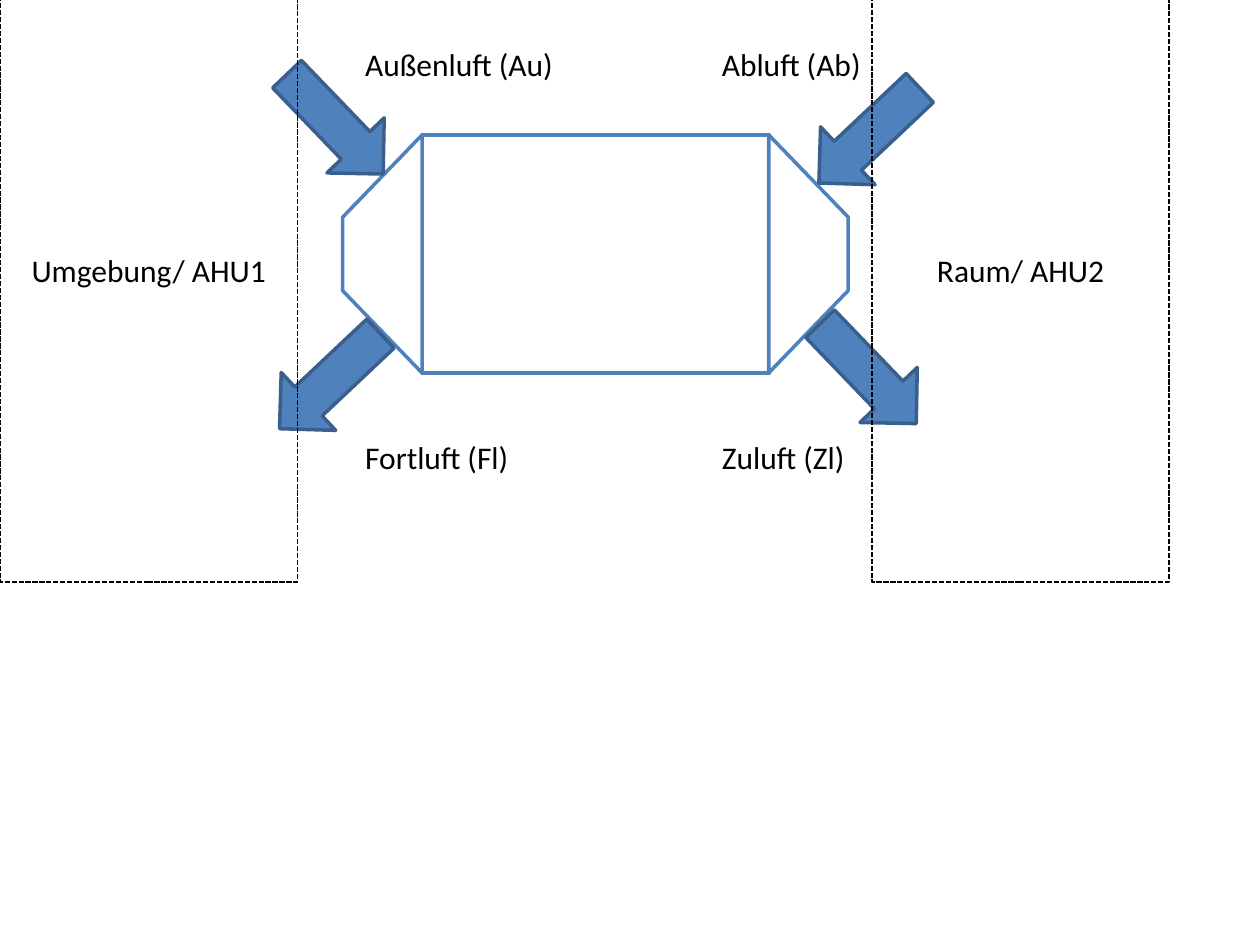
from pptx import Presentation
from pptx.dml.color import RGBColor
from pptx.enum.dml import MSO_LINE
from pptx.enum.shapes import MSO_SHAPE
from pptx.enum.text import MSO_ANCHOR, MSO_AUTO_SIZE, PP_ALIGN
from pptx.util import Pt

BLUE = RGBColor(0x4F, 0x81, 0xBD)
DARK_BLUE = RGBColor(0x3A, 0x5F, 0x8C)
WHITE = RGBColor(0xFF, 0xFF, 0xFF)
BLACK = RGBColor(0, 0, 0)
LABEL_FONT = {"name": "Calibri", "size": Pt(18)}

deck = Presentation()
deck.slide_width, deck.slide_height = Pt(720), Pt(540)
page = deck.slides.add_slide(deck.slide_layouts[6])
diagram = page.shapes.add_group_shape()


def draw_shape(kind, left, top, width, height, fill, line, weight=2, rotation=0):
    shape = diagram.shapes.add_shape(kind, Pt(left), Pt(top), Pt(width), Pt(height))
    shape.shadow.inherit = False
    shape.rotation = rotation
    if fill is None:
        shape.fill.background()
    else:
        shape.fill.solid()
        shape.fill.fore_color.rgb = fill
    shape.line.color.rgb = line
    shape.line.width = Pt(weight)
    return shape


def write_label(box, text, align):
    para = box.text_frame.paragraphs[0]
    para.alignment = align
    span = para.add_run()
    span.text = text
    for name, value in LABEL_FONT.items():
        setattr(span.font, name, value)
    span.font.color.rgb = BLACK


# Air handling unit: body with a tapered end on each side
draw_shape(MSO_SHAPE.RECTANGLE, 241.2, 77.2, 198.6, 136, WHITE, BLUE)
for left, rotation in ((394, 90), (150.5, 270)):
    taper = draw_shape(MSO_SHAPE.TRAPEZOID, left, 122.4, 136, 45.4, WHITE, BLUE,
                       rotation=rotation)
    taper.adjustments[0] = 1.036

# Air flow arrows
for left, top, rotation in (
    (457.2, 54.7, 316.7),
    (149, 195.1, 316.7),
    (151.9, 48.2, 226.1),
    (456.5, 190.8, 226.1),
):
    draw_shape(MSO_SHAPE.LEFT_ARROW, left, top, 79.2, 45.4, BLUE, DARK_BLUE,
               rotation=rotation)

# Air flow labels
for text, left, top in (
    ("Abluft (Ab)", 405.4, 22.3),
    ("Zuluft (Zl)", 405.4, 247),
    ("Außenluft (Au)", 201.6, 22.3),
    ("Fortluft (Fl)", 201.6, 247),
):
    box = diagram.shapes.add_textbox(Pt(left), Pt(top), Pt(153.4), Pt(29))
    box.text_frame.word_wrap = True
    box.text_frame.auto_size = MSO_AUTO_SIZE.SHAPE_TO_FIT_TEXT
    write_label(box, text, PP_ALIGN.LEFT)

# Dashed zones on either side
for text, left in (("Raum/ AHU2", 498.2), ("Umgebung/ AHU1", 0)):
    zone = draw_shape(MSO_SHAPE.RECTANGLE, left, -24.5, 170, 357, None, BLACK, weight=1)
    zone.line.dash_style = MSO_LINE.SQUARE_DOT
    zone.text_frame.word_wrap = True
    zone.text_frame.vertical_anchor = MSO_ANCHOR.MIDDLE
    write_label(zone, text, PP_ALIGN.CENTER)

deck.save("out.pptx")
